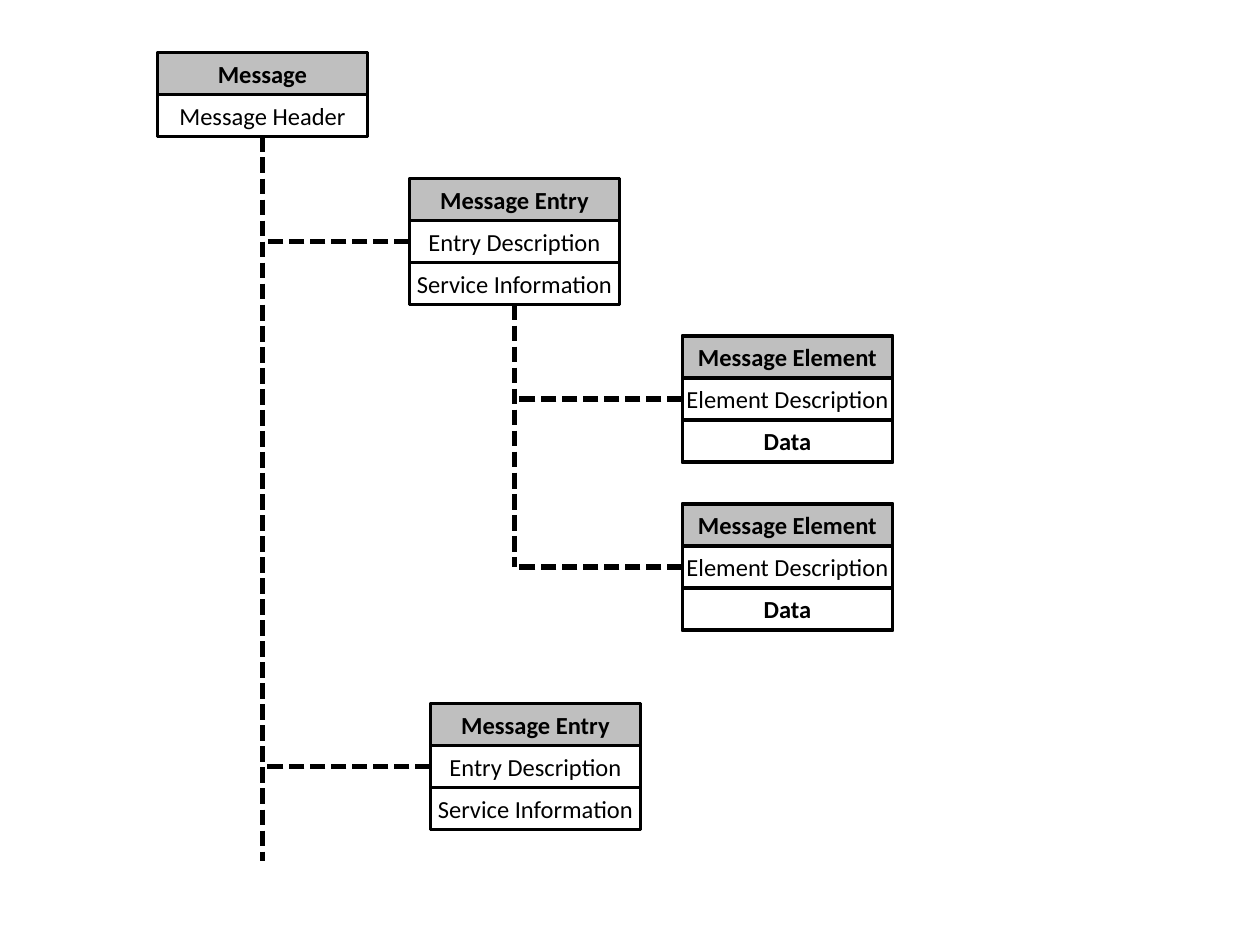
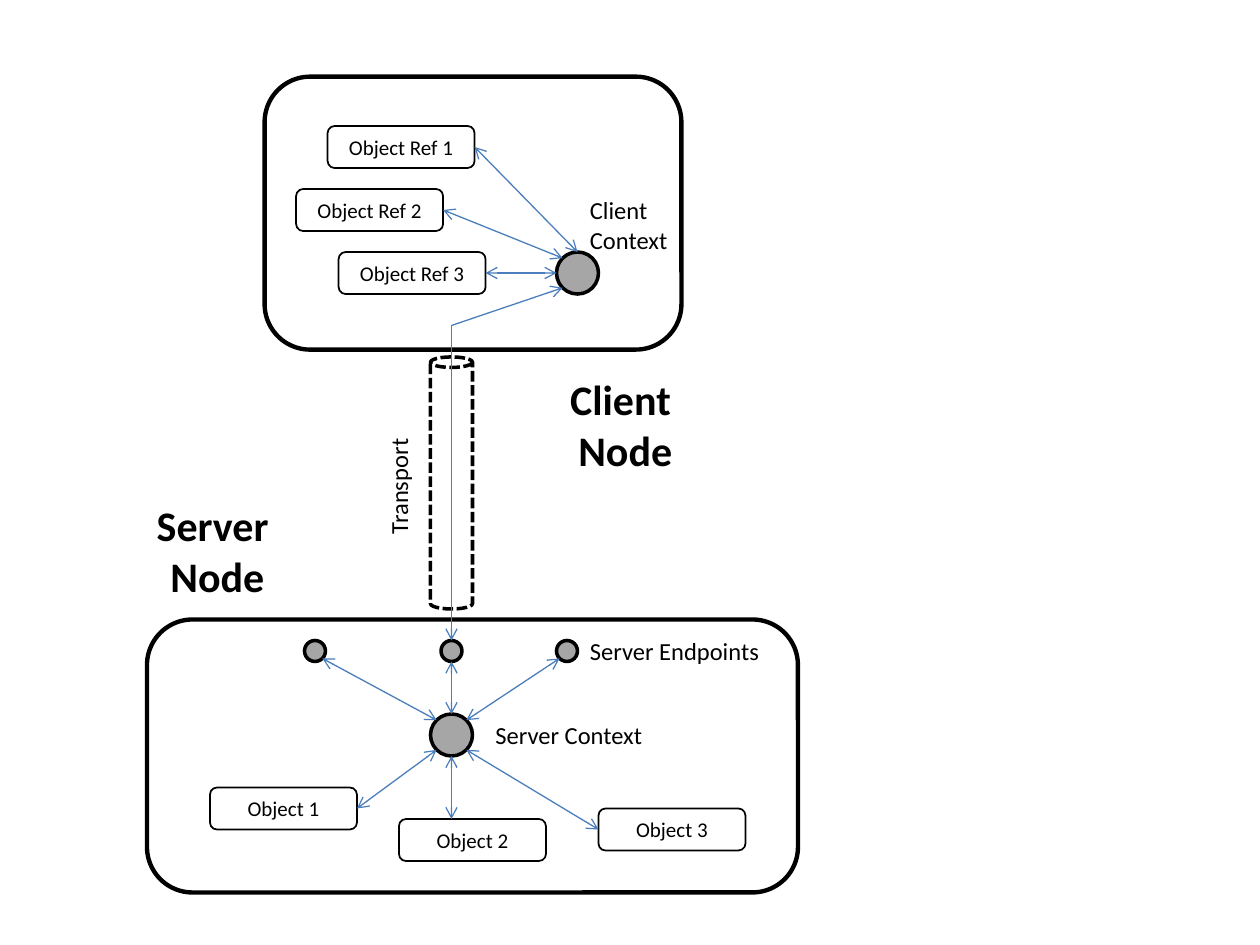
from dataclasses import dataclass

from lxml import etree
from pptx import Presentation
from pptx.dml.color import RGBColor
from pptx.enum.dml import MSO_LINE
from pptx.enum.shapes import MSO_CONNECTOR, MSO_SHAPE
from pptx.enum.text import MSO_ANCHOR, MSO_AUTO_SIZE, PP_ALIGN
from pptx.oxml.ns import qn
from pptx.util import Cm, Pt

RECTANGLE = MSO_SHAPE.RECTANGLE
ROUNDED = MSO_SHAPE.ROUNDED_RECTANGLE
CIRCLE = MSO_SHAPE.OVAL
CYLINDER = MSO_SHAPE.CAN
STRAIGHT = MSO_CONNECTOR.STRAIGHT
DASHED = MSO_LINE.SQUARE_DOT
MIDDLE = MSO_ANCHOR.MIDDLE
FIT_SHAPE = MSO_AUTO_SIZE.SHAPE_TO_FIT_TEXT
CENTER, LEFT = PP_ALIGN.CENTER, PP_ALIGN.LEFT


@dataclass(frozen=True)
class Theme:
    font: str = "Calibri"
    ink: RGBColor = RGBColor(0x00, 0x00, 0x00)
    header: RGBColor = RGBColor(0xBF, 0xBF, 0xBF)
    hub: RGBColor = RGBColor(0xA6, 0xA6, 0xA6)
    link: RGBColor = RGBColor(0x4B, 0x7E, 0xBC)
    node_size: int = 24
    label_size: int = 14
    object_size: int = 12
    tree_line: float = 3
    node_line: float = 2.5
    box_line: float = 2
    object_line: float = 1
    link_line: float = 0.75


THEME = Theme()

# All positions and sizes are counted in grid steps, twelve to the inch.
GRID_CM = 2.54 / 12

# Message structure: key -> (left, top, title, rows)
RECORD_WIDTH, ROW_HEIGHT = 20, 4
ENTRY = ("Message Entry", ["Entry Description", "Service Information"])
ELEMENT = ("Message Element", ["Element Description", "Data"])
RECORDS = {
    "message": (15, 5, "Message", ["Message Header"]),
    "entry 1": (39, 17, *ENTRY),
    "element 1": (65, 32, *ELEMENT),
    "element 2": (65, 48, *ELEMENT),
    "entry 2": (41, 67, *ENTRY),
}
BOLD_ROWS = {"Data"}
# (parent, bottom of its trunk, children)
TREE = [
    ("message", 82, ["entry 1", "entry 2"]),
    ("entry 1", 54, ["element 1", "element 2"]),
]

# Client and server: boxes are (left, top, width, height)
NODES = [(25.2, 7.3, 39.7, 26), (14, 59, 62, 26)]
TRANSPORT = (41, 34, 4, 24)
HUBS = {
    "client": (53, 24, 4, 4),
    "endpoint 1": (29, 61, 2, 2),
    "endpoint 2": (42, 61, 2, 2),
    "endpoint 3": (53, 61, 2, 2),
    "server": (41, 68, 4, 4),
}
OBJECT_SIZE = (14, 4)
OBJECTS = {
    "Object Ref 1": (31.2, 12),
    "Object Ref 2": (28.2, 18),
    "Object Ref 3": (32.25, 24),
    "Object 1": (20, 75),
    "Object 2": (38, 78),
    "Object 3": (57, 77),
}
# Each end is (name, side) or a plain point; the last value says whether it is two-way
TRANSPORT_BEND = (43, 31)
LINKS = [
    (("Object Ref 1", "right"), ("client", "top"), True),
    (("Object Ref 2", "right"), ("client", "top left"), True),
    (("Object Ref 3", "right"), ("client", "left"), True),
    (TRANSPORT_BEND, ("client", "bottom left"), False),
    (TRANSPORT_BEND, ("endpoint 2", "top"), False),
    (("endpoint 2", "bottom"), ("server", "top"), True),
    (("server", "top left"), ("endpoint 1", "bottom right"), True),
    (("server", "top right"), ("endpoint 3", "bottom left"), True),
    (("server", "bottom"), (43, 78), True),
    (("server", "bottom right"), ("Object 3", "left"), True),
    (("server", "bottom left"), ("Object 1", "right"), True),
]
NODE_LABELS = [
    (["Client ", "Node"], (53, 35, 13.1, 10.9)),
    (["Server ", "Node"], (13.7, 47, 14, 10.9)),
]
LABELS = [
    (["Server Endpoints"], (55, 60, 18.7, 4.1), 0),
    (["Server Context"], (46, 68, 16.6, 4.1), 0),
    (["Client", "Context"], (55, 18, 9.8, 6.8), 0),
    (["Transport"], (32.2, 44.2, 11.6, 4.1), 270),
]


def grid(*steps):
    return [Cm(step * GRID_CM) for step in steps]


def write(frame, lines, size, bold=False, align=CENTER):
    for index, line in enumerate(lines):
        paragraph = frame.paragraphs[0] if index == 0 else frame.add_paragraph()
        paragraph.alignment = align
        run = paragraph.add_run()
        run.text = line
        run.font.name = THEME.font
        run.font.size = Pt(size)
        run.font.bold = bold
        run.font.color.rgb = THEME.ink


def add_outline(slide, kind, box, width, fill=None):
    shape = slide.shapes.add_shape(kind, *grid(*box))
    shape.shadow.inherit = False
    if fill is None:
        shape.fill.background()
    else:
        shape.fill.solid()
        shape.fill.fore_color.rgb = fill
    shape.line.color.rgb = THEME.ink
    shape.line.width = Pt(width)
    shape.text_frame.vertical_anchor = MIDDLE
    return shape


def add_label(slide, lines, box, size, bold=False, align=LEFT, rotation=0):
    shape = slide.shapes.add_textbox(*grid(*box))
    shape.rotation = rotation
    shape.text_frame.word_wrap = False
    shape.text_frame.auto_size = FIT_SHAPE
    write(shape.text_frame, lines, size, bold, align)


def add_line(slide, start, end, color, width):
    connector = slide.shapes.add_connector(STRAIGHT, *grid(*start, *end))
    connector.line.color.rgb = color
    connector.line.width = Pt(width)
    etree.SubElement(connector.element.spPr, qn("a:effectLst"))
    return connector


def add_tree_line(slide, start, end):
    connector = add_line(slide, start, end, THEME.ink, THEME.tree_line)
    connector.line.dash_style = DASHED


def add_link(slide, start, end, two_way):
    connector = add_line(slide, start, end, THEME.link, THEME.link_line)
    outline = connector.element.spPr.find(qn("a:ln"))
    for tag in ["a:headEnd", "a:tailEnd"] if two_way else ["a:tailEnd"]:
        etree.SubElement(outline, qn(tag), type="arrow")


def record_box(key):
    left, top, _, rows = RECORDS[key]
    return left, top, RECORD_WIDTH, ROW_HEIGHT * (len(rows) + 1)


def add_record(slide, key):
    left, top, title, rows = RECORDS[key]
    add_outline(slide, RECTANGLE, record_box(key), THEME.box_line)
    for index, text in enumerate([title, *rows]):
        is_title = index == 0
        box = (left, top + index * ROW_HEIGHT, RECORD_WIDTH, ROW_HEIGHT)
        shape = add_outline(slide, RECTANGLE, box, THEME.box_line,
                            THEME.header if is_title else None)
        shape.text_frame.margin_left = shape.text_frame.margin_right = 0
        write(shape.text_frame, [text], THEME.label_size, is_title or text in BOLD_ROWS)


def link_point(end):
    """Return the grid point of a link end, on the rim of its hub or object."""
    if end[0] in HUBS:
        left, top, width, height = HUBS[end[0]]
    elif end[0] in OBJECTS:
        left, top, width, height = (*OBJECTS[end[0]], *OBJECT_SIZE)
    else:
        return end
    sides = end[1].split()
    across = ("right" in sides) - ("left" in sides)
    down = ("bottom" in sides) - ("top" in sides)
    reach = 0.5 / len(sides) ** 0.5
    return left + width * (0.5 + across * reach), top + height * (0.5 + down * reach)


def build_message_structure(slide):
    for key in RECORDS:
        add_record(slide, key)
    for parent, trunk_bottom, children in TREE:
        left, top, width, height = record_box(parent)
        trunk = left + width / 2
        add_tree_line(slide, (trunk, top + height), (trunk, trunk_bottom))
        for child in children:
            child_left, child_top, _, child_height = record_box(child)
            middle = child_top + child_height / 2
            add_tree_line(slide, (child_left, middle), (trunk, middle))


def build_client_server(slide):
    for box in NODES:
        add_outline(slide, ROUNDED, box, THEME.node_line)
    transport = add_outline(slide, CYLINDER, TRANSPORT, THEME.box_line)
    transport.line.dash_style = DASHED
    for box in HUBS.values():
        add_outline(slide, CIRCLE, box, THEME.box_line, THEME.hub)
    for name, corner in OBJECTS.items():
        shape = add_outline(slide, ROUNDED, (*corner, *OBJECT_SIZE), THEME.object_line)
        write(shape.text_frame, [name], THEME.object_size)
    for start, end, two_way in LINKS:
        add_link(slide, link_point(start), link_point(end), two_way)
    for lines, box in NODE_LABELS:
        add_label(slide, lines, box, THEME.node_size, bold=True, align=CENTER)
    for lines, box, rotation in LABELS:
        add_label(slide, lines, box, THEME.label_size, rotation=rotation)


def main():
    presentation = Presentation()
    presentation.slide_width, presentation.slide_height = Cm(25.4), Cm(19.05)
    blank = presentation.slide_layouts[6]
    for build in (build_message_structure, build_client_server):
        build(presentation.slides.add_slide(blank))
    presentation.save("out.pptx")


if __name__ == "__main__":
    main()
